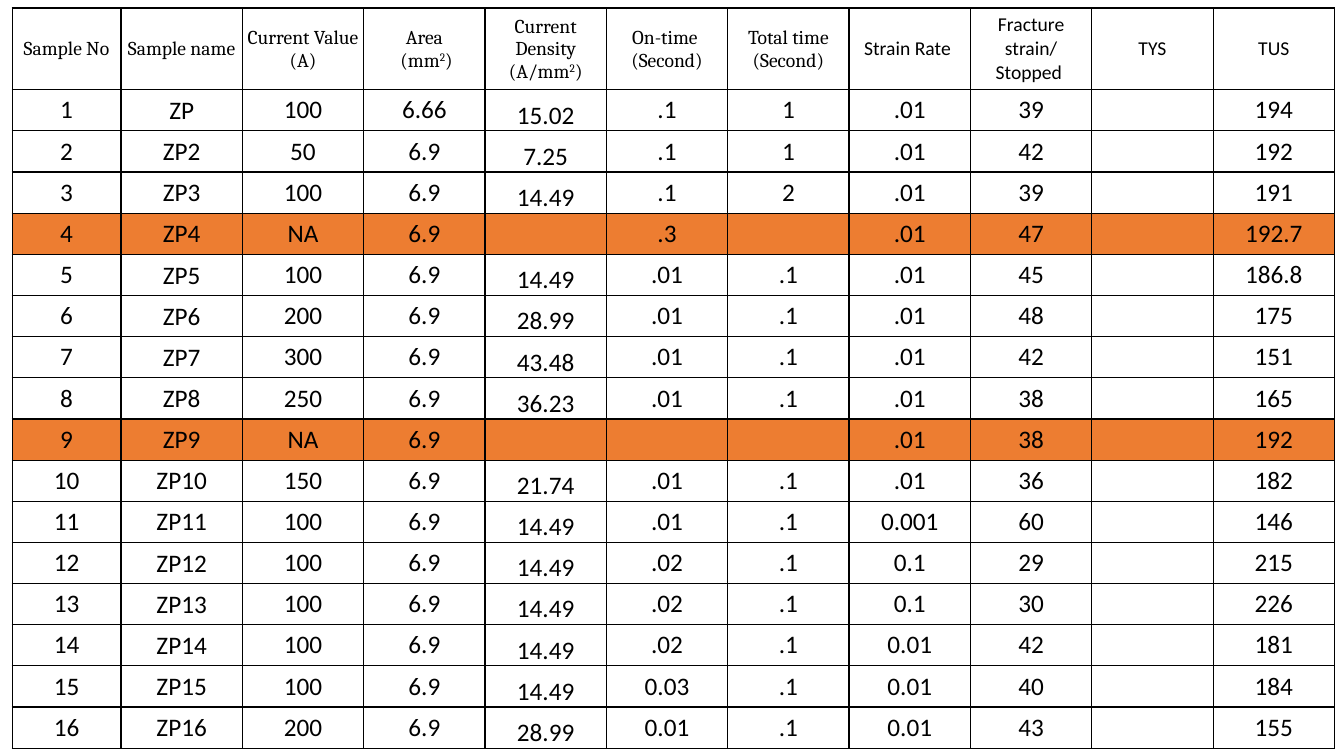
"""Build a slide with a table of tensile test samples."""
from lxml import etree
from pptx import Presentation
from pptx import util as u
from pptx.dml.color import RGBColor
from pptx.enum import text
from pptx.oxml import ns

BLACK = RGBColor(0x00, 0x00, 0x00)
ORANGE = RGBColor(0xED, 0x7D, 0x31)

HEADS = ["Sample No", "Sample name", "Current Value (A)", "Area\n (mm^2^)",
         "Current Density (A/mm^2^)", "On-time \n(Second)",
         "Total time (Second)", "Strain Rate ", "Fracture strain/\nStopped ",
         "TYS", "TUS"]
ROWS = """
1 ZP 100 6.66 15.02 .1 1 .01 39 - 194
2 ZP2 50 6.9 7.25 .1 1 .01 42 - 192
3 ZP3 100 6.9 14.49 .1 2 .01 39 - 191
4 ZP4 NA 6.9 - .3 - .01 47 - 192.7
5 ZP5 100 6.9 14.49 .01 .1 .01 45 - 186.8
6 ZP6 200 6.9 28.99 .01 .1 .01 48 - 175
7 ZP7 300 6.9 43.48 .01 .1 .01 42 - 151
8 ZP8 250 6.9 36.23 .01 .1 .01 38 - 165
9 ZP9 NA 6.9 - - - .01 38 - 192
10 ZP10 150 6.9 21.74 .01 .1 .01 36 - 182
11 ZP11 100 6.9 14.49 .01 .1 0.001 60 - 146
12 ZP12 100 6.9 14.49 .02 .1 0.1 29 - 215
13 ZP13 100 6.9 14.49 .02 .1 0.1 30 - 226
14 ZP14 100 6.9 14.49 .02 .1 0.01 42 - 181
15 ZP15 100 6.9 14.49 0.03 .1 0.01 40 - 184
16 ZP16 200 6.9 28.99 0.01 .1 0.01 43 - 155
"""
NAME, DENSITY, RATE = 1, 4, 7


class Deck:
    """Hold the table style and the current slide."""

    def __init__(self, slide):
        self.slide = slide
        self.ink = BLACK
        self.mark = ORANGE

    def grid(self, left, top, widths, heights):
        """Add an unbanded table and return it."""
        frame = self.slide.shapes.add_table(
            len(heights), len(widths), u.Pt(left), u.Pt(top),
            u.Pt(sum(widths)), u.Pt(sum(heights)))
        table = frame.table
        table.first_row = table.horz_banding = False
        for col, width in zip(table.columns, widths):
            col.width = u.Pt(width)
        for row, height in zip(table.rows, heights):
            row.height = u.Pt(height)
        return table

    def cell(self, cell, words, size, face, tight=False, low=False, lit=False):
        """Fill one cell; carets enclose superscripts."""
        if lit:
            cell.fill.solid()
            cell.fill.fore_color.rgb = self.mark
        else:
            cell.fill.background()
        anchor = text.MSO_ANCHOR
        cell.vertical_anchor = anchor.BOTTOM if low else anchor.MIDDLE
        if tight:
            cell.margin_left = cell.margin_right = cell.margin_top = u.Pt(0.72)
            cell.margin_bottom = 0
        self.edges(cell)
        cell.text_frame.text = words.replace("^", "")
        for para, line in zip(cell.text_frame.paragraphs, words.split("\n")):
            para.alignment = text.PP_ALIGN.CENTER
            para.font.size = u.Pt(size)
            para.clear()
            for i, part in enumerate(line.split("^")):
                if part:
                    self.run(para, part, size, face, i % 2 == 1)

    def run(self, para, words, size, face, sup):
        """Add one formatted run."""
        run = para.add_run()
        run.text = words
        run.font.size = u.Pt(size)
        run.font.name = face
        run.font.color.rgb = self.ink
        if sup:
            run.font._element.set("baseline", "30000")

    def edges(self, cell):
        """Draw a one-point line on all four sides of a cell."""
        props = cell._tc.get_or_add_tcPr()
        for i, side in enumerate("LRTB"):
            line = etree.Element(ns.qn("a:ln" + side), w=str(u.Pt(1)))
            fill = etree.SubElement(line, ns.qn("a:solidFill"))
            etree.SubElement(fill, ns.qn("a:srgbClr"), val=str(self.ink))
            props.insert(i, line)


def main():
    """Build and save the slide."""
    prs = Presentation()
    prs.slide_width, prs.slide_height = u.Pt(960), u.Pt(540)
    deck = Deck(prs.slides.add_slide(prs.slide_layouts[6]))
    rows = [line.split() for line in ROWS.strip().splitlines()]
    table = deck.grid(8.64, 5.76, [77.76] + [86.7] * (len(HEADS) - 1),
                      [57.6] + [29.4] * len(rows))
    for c, head in enumerate(HEADS):
        serif = c < RATE
        deck.cell(table.cell(0, c), head, 14,
                  "Cambria" if serif else "Calibri", tight=serif)
    for r, row in enumerate(rows, 1):
        for c, word in enumerate(row):
            deck.cell(table.cell(r, c), "" if word == "-" else word, 18,
                      "Calibri", tight=c in (NAME, DENSITY),
                      low=c == DENSITY, lit="NA" in row)
    prs.save("out.pptx")


if __name__ == "__main__":
    main()
